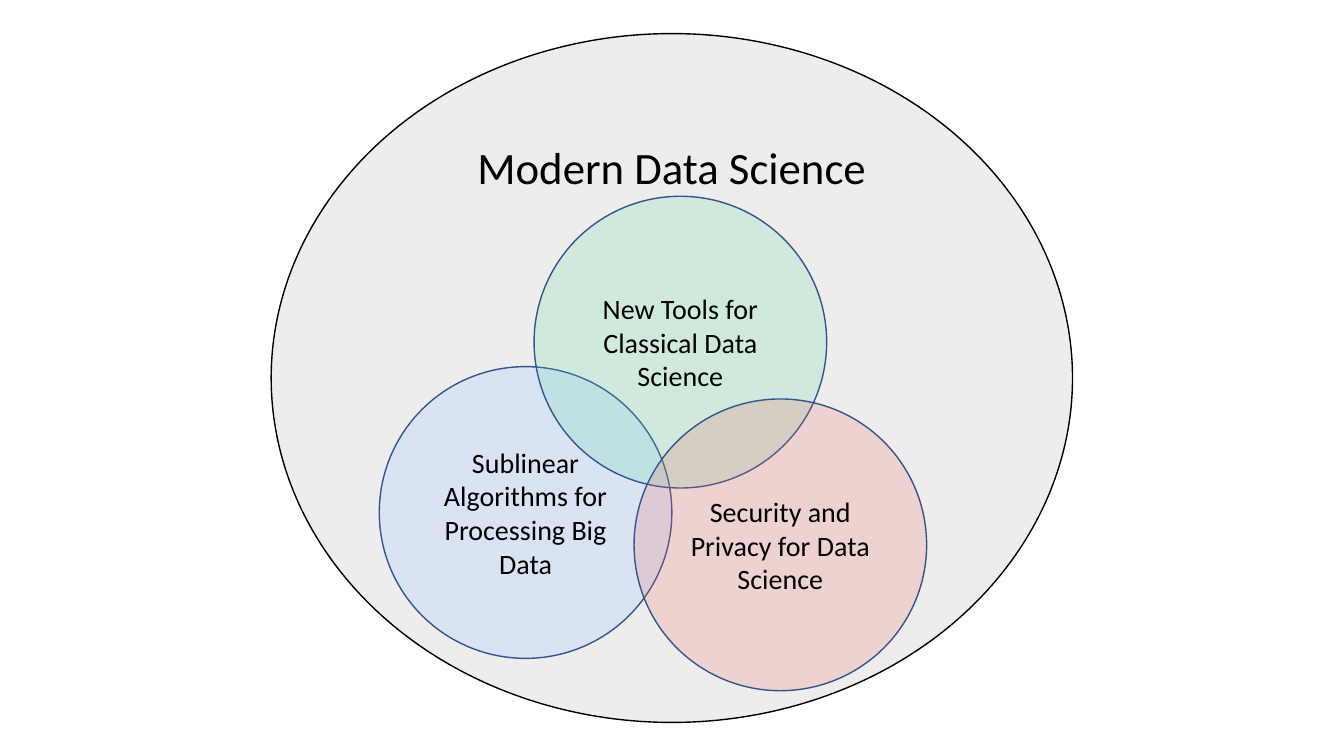
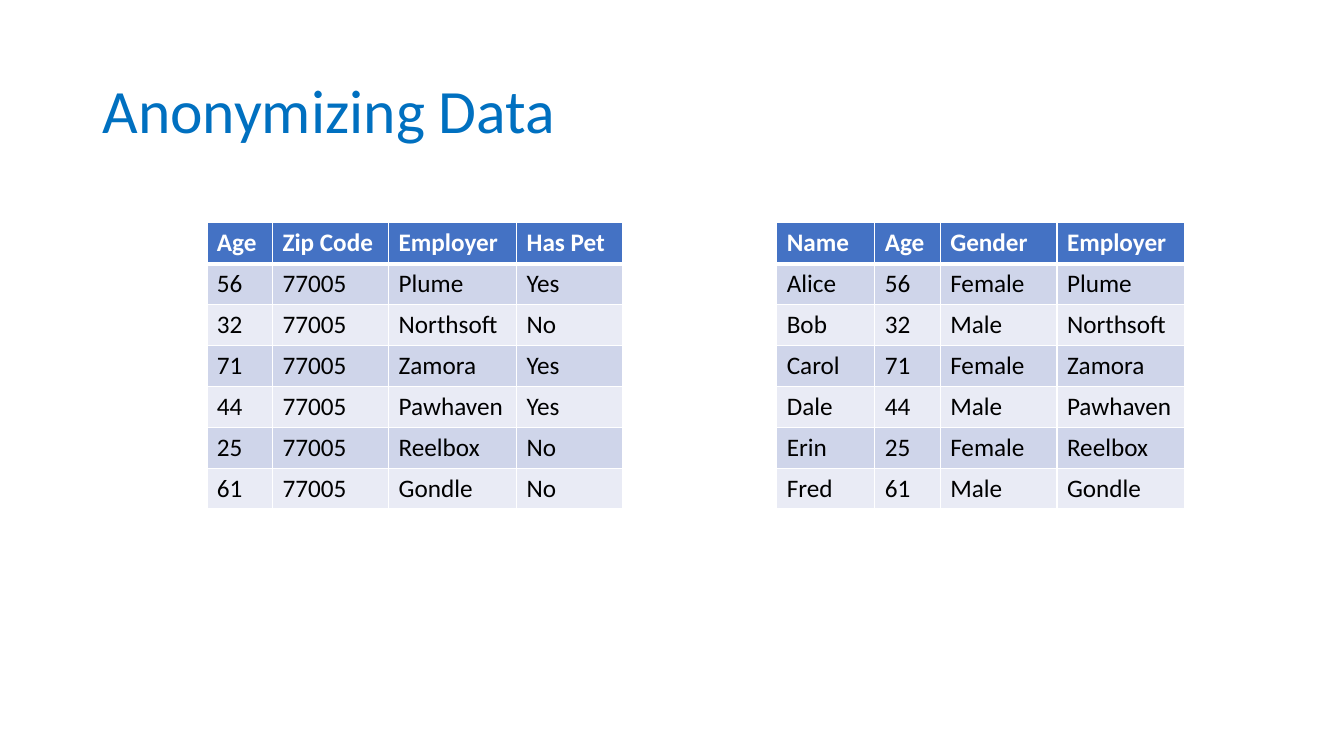
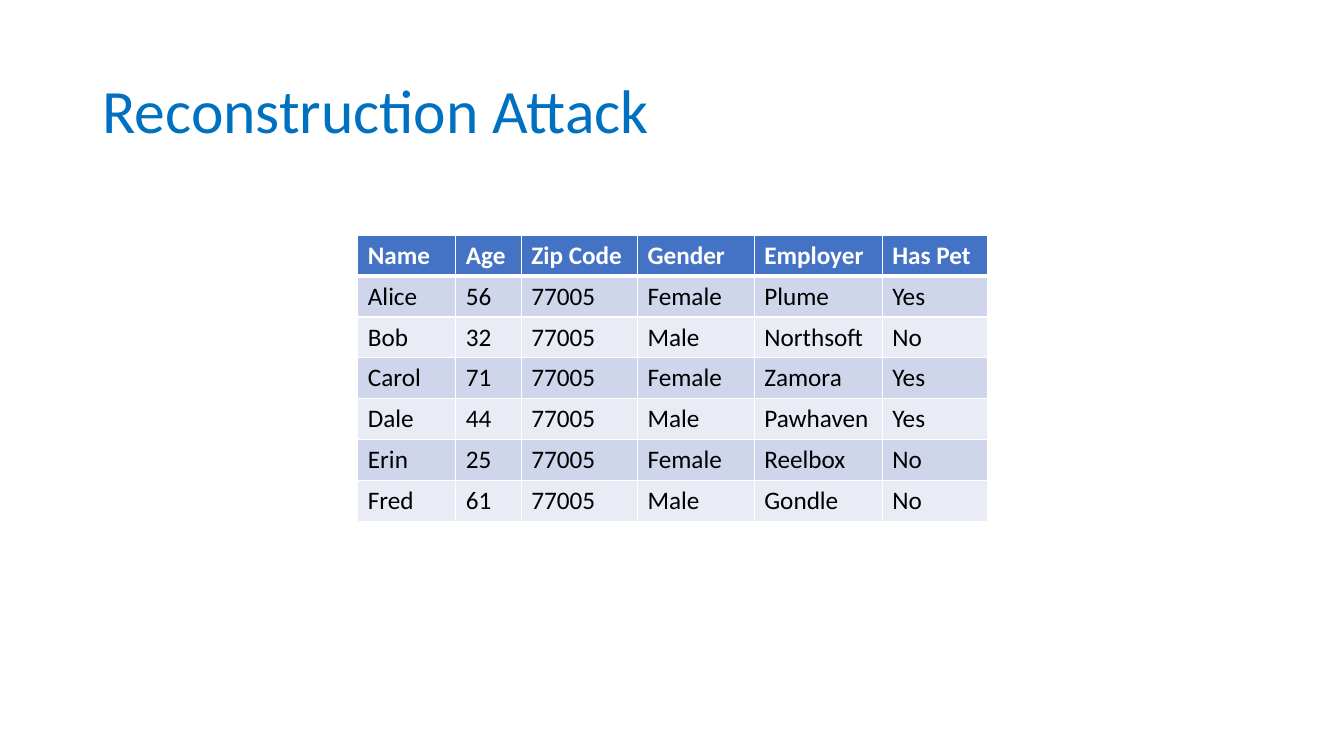
import dataclasses

import lxml.etree
import pptx
import pptx.dml.color
import pptx.enum.shapes
import pptx.enum.text
import pptx.oxml.ns
import pptx.util

Pt = pptx.util.Pt
qn = pptx.oxml.ns.qn
color = pptx.dml.color.RGBColor.from_string


@dataclasses.dataclass(frozen=True)
class Theme:
    font: str = "Calibri"
    text: str = "000000"
    white: str = "FFFFFF"
    title: str = "0070C0"
    header: str = "4472C4"
    bands: tuple = ("CFD5EA", "E9EBF5")
    field: str = "EDEDED"
    circle_line: str = "325491"
    blue: str = "DAE3F3"
    green: str = "58DA9F"
    red: str = "F1685D"
    title_size: int = 44
    field_size: int = 32
    circle_size: int = 20
    table_size: int = 18


theme = Theme()


def style_text(paragraph, size, font_color, bold=False):
    paragraph.font.name = theme.font
    paragraph.font.size = Pt(size)
    paragraph.font.bold = bold
    paragraph.font.color.rgb = color(font_color)


def add_border(cell, sides):
    properties = cell._tc.get_or_add_tcPr()
    for position, (side, width) in enumerate(sides.items()):
        line = lxml.etree.Element(qn(f"a:ln{side}"), w=str(Pt(width)))
        fill = lxml.etree.SubElement(line, qn("a:solidFill"))
        lxml.etree.SubElement(fill, qn("a:srgbClr"), val=theme.white)
        properties.insert(position, line)


presentation = pptx.Presentation()
presentation.slide_width = Pt(960)
presentation.slide_height = Pt(540)
title_layout = presentation.slide_layouts[5]
blank_layout = presentation.slide_layouts[6]

layout_title = title_layout.placeholders[0]
layout_title.left, layout_title.top = Pt(66), Pt(28.75)
layout_title.width, layout_title.height = Pt(828), Pt(104.4)

top = pptx.enum.text.MSO_ANCHOR.TOP
middle = pptx.enum.text.MSO_ANCHOR.MIDDLE
ellipses = [
    ("Modern Data Science", (193.7, 24, 572.4, 492), theme.field, 100, theme.text, theme.field_size, top),
    ("Sublinear Algorithms for Processing Big Data", (270.9, 261.9, 209, 208.4),
     theme.blue, 100, theme.circle_line, theme.circle_size, middle),
    ("New Tools for Classical Data Science", (381.5, 140.2, 209, 208.4),
     theme.green, 20, theme.circle_line, theme.circle_size, middle),
    ("Security and Privacy for Data Science", (452.9, 285, 209, 208.4),
     theme.red, 20, theme.circle_line, theme.circle_size, middle),
]

slide = presentation.slides.add_slide(blank_layout)
for text, box, fill_color, opacity, line_color, size, anchor in ellipses:
    shape = slide.shapes.add_shape(pptx.enum.shapes.MSO_SHAPE.OVAL, *map(Pt, box))
    shape.shadow.inherit = False
    shape.fill.solid()
    shape.fill.fore_color.rgb = color(fill_color)
    if opacity < 100:
        fill = shape.element.spPr.find(qn("a:solidFill"))
        lxml.etree.SubElement(fill[0], qn("a:alpha"), val=str(opacity * 1000))
    shape.line.color.rgb = color(line_color)
    shape.line.width = Pt(1)
    frame = shape.text_frame
    frame.word_wrap = True
    frame.vertical_anchor = anchor
    paragraph = frame.paragraphs[0]
    paragraph.text = text
    paragraph.alignment = pptx.enum.text.PP_ALIGN.CENTER
    style_text(paragraph, size, theme.text)

column_widths = {
    "Name": 70, "Age": 46.8, "Zip Code": 83, "Gender": 83.4, "Employer": 91.4, "Has Pet": 75.4,
}
people = [
    ("Alice", "56", "77005", "Female", "Plume", "Yes"),
    ("Bob", "32", "77005", "Male", "Northsoft", "No"),
    ("Carol", "71", "77005", "Female", "Zamora", "Yes"),
    ("Dale", "44", "77005", "Male", "Pawhaven", "Yes"),
    ("Erin", "25", "77005", "Female", "Reelbox", "No"),
    ("Fred", "61", "77005", "Male", "Gondle", "No"),
]
records = [dict(zip(column_widths, person)) for person in people]
row_height = 29.2

table_slides = [
    ("Anonymizing Data", [
        (147.8, 159.2, ["Age", "Zip Code", "Employer", "Has Pet"]),
        (554.8, 159.2, ["Name", "Age", "Gender", "Employer"]),
    ]),
    ("Reconstruction Attack", [(255.6, 168, list(column_widths))]),
]

for title, tables in table_slides:
    slide = presentation.slides.add_slide(title_layout)
    frame = slide.shapes.title.text_frame
    frame.vertical_anchor = middle
    paragraph = frame.paragraphs[0]
    paragraph.text = title
    paragraph.alignment = pptx.enum.text.PP_ALIGN.LEFT
    paragraph.line_spacing = 0.9
    style_text(paragraph, theme.title_size, theme.title)

    for left, upper, columns in tables:
        rows = [columns] + [[record[column] for column in columns] for record in records]
        width = sum(column_widths[column] for column in columns)
        table = slide.shapes.add_table(
            len(rows), len(columns), Pt(left), Pt(upper), Pt(width), Pt(row_height * len(rows))
        ).table
        for index, column in enumerate(columns):
            table.columns[index].width = Pt(column_widths[column])
        for row_index, row in enumerate(rows):
            table.rows[row_index].height = Pt(row_height)
            is_header = row_index == 0
            for column_index, text in enumerate(row):
                cell = table.cell(row_index, column_index)
                cell.fill.solid()
                cell.fill.fore_color.rgb = color(theme.header if is_header else theme.bands[(row_index - 1) % 2])
                add_border(cell, {"L": 1, "R": 1, "T": 3 if row_index == 1 else 1, "B": 3 if is_header else 1})
                paragraph = cell.text_frame.paragraphs[0]
                paragraph.text = text
                style_text(paragraph, theme.table_size, theme.white if is_header else theme.text, is_header)

presentation.save("out.pptx")
